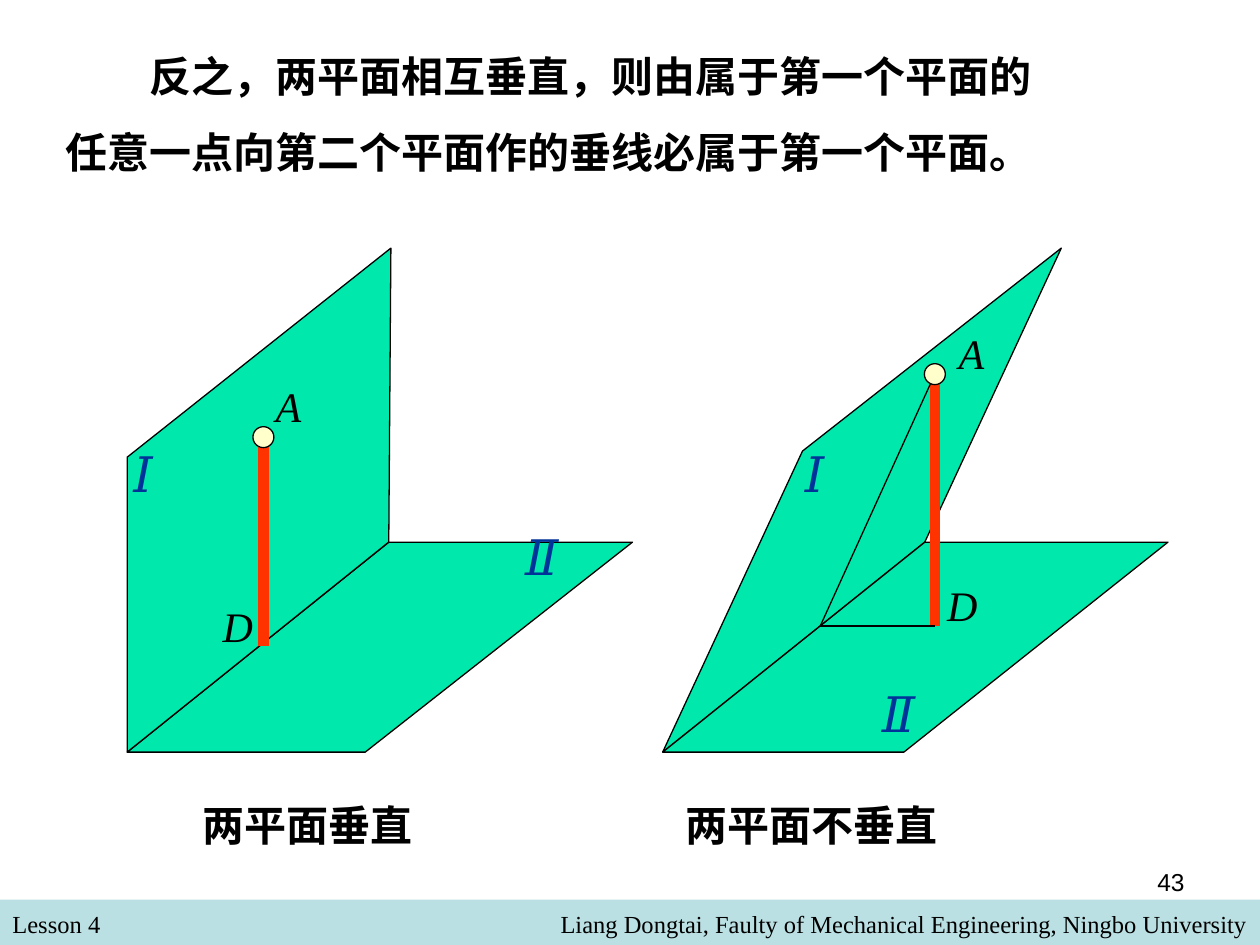
from lxml import etree
from pptx import Presentation
from pptx import util as u
from pptx.dml import color
from pptx.enum import shapes, text
from pptx.oxml import ns

SERIF, SANS, CJK = "Times New Roman", "Arial", "Noto Sans CJK SC"
BLACK, BLUE, RED = "000000", "003399", "FF3300"
GREEN, CREAM, TEAL = "00E8AB", "FFFFCC", "BBE0E3"

UPRIGHT = dict(
    caption="两平面垂直", caption_left=36, caption_width=144,
    planes=[[(0, 288), (136, 288), (288.7, 168), (149.5, 168)],
            [(0, 119.5), (0, 288), (149.5, 168), (150.7, 0)]],
    foot=(77.8, 227.5), point=(77.8, 108), thin_lines=[],
    letters=[("A", 77.8, 72), ("D", 47.5, 198)],
    numerals=[("Ⅰ", -3.6, 108, 25), ("Ⅱ", 220.3, 155.5, 33)])

SLANTED = dict(
    caption="两平面不垂直", caption_left=5.8, caption_width=186,
    planes=[[(79.9, 116), (0, 288), (149.8, 168), (227.8, 0)],
            [(0, 288), (137.8, 288), (288.7, 168), (149.8, 168)]],
    foot=(155.5, 216), point=(155.5, 72),
    thin_lines=[((155.5, 72), (90, 216)), ((90, 216), (155.5, 216))],
    letters=[("A", 162, 41.8), ("D", 155.5, 185.8)],
    numerals=[("Ⅰ", 74.2, 108, 25), ("Ⅱ", 118.1, 245.5, 33)])


def rgb(value):
    """Turn a hex string into a colour."""
    return color.RGBColor.from_string(value)


def write(box, words, size=24, font=SERIF, east=None, fill=BLACK, bold=False,
          italic=False, align=text.PP_ALIGN.LEFT, spacing=None, indent=0, wrap=True):
    """Put one formatted paragraph in a box."""
    frame = box.text_frame
    frame.word_wrap = wrap
    frame.auto_size = text.MSO_AUTO_SIZE.NONE
    frame.vertical_anchor = text.MSO_ANCHOR.TOP
    para = frame.paragraphs[0]
    para.alignment = align
    para.line_spacing = spacing
    if indent:
        para._p.get_or_add_pPr().set("indent", str(u.Pt(indent)))
    span = para.add_run()
    span.text = words
    span.font.name, span.font.size = font, u.Pt(size)
    span.font.bold, span.font.italic = bold, italic
    span.font.color.rgb = rgb(fill)
    if east:
        span.font._element.find(ns.qn("a:latin")).addnext(
            etree.Element(ns.qn("a:ea"), typeface=east))


def add_label(parts, words, left, top, width, height, **style):
    """Add a text box holding one paragraph."""
    box = parts.add_textbox(u.Pt(left), u.Pt(top), u.Pt(width), u.Pt(height))
    write(box, words, **style)


def paint(shape, fill, outline=True):
    """Give a shape a flat fill and an optional thin black outline."""
    shape.shadow.inherit = False
    shape.fill.solid()
    shape.fill.fore_color.rgb = rgb(fill)
    if outline:
        shape.line.color.rgb = rgb(BLACK)
        shape.line.width = u.Pt(0.75)
    else:
        shape.line.fill.background()


def add_plane(parts, corners):
    """Draw a closed plane through its corners."""
    points = [(u.Pt(x), u.Pt(y)) for x, y in corners]
    builder = parts.build_freeform(*points[0])
    builder.add_line_segments(points[1:], close=True)
    paint(builder.convert_to_shape(), GREEN)


def add_segment(parts, start, end, fill=BLACK, width=0.75):
    """Draw a straight line between two points."""
    line = parts.add_connector(shapes.MSO_CONNECTOR.STRAIGHT,
                               *(u.Pt(value) for value in (*start, *end)))
    line.line.color.rgb = rgb(fill)
    line.line.width = u.Pt(width)
    etree.SubElement(line._element.spPr, ns.qn("a:effectLst"))


def add_figure(page, left, top, figure):
    """Draw a pair of planes with its perpendicular, labels and caption."""
    def place(point):
        """Shift a point of the figure to the page."""
        return left + point[0], top + point[1]

    parts = page.shapes.add_group_shape().shapes
    for corners in figure["planes"]:
        add_plane(parts, [place(corner) for corner in corners])
    add_segment(parts, place(figure["point"]), place(figure["foot"]), RED, 6)
    for start, end in figure["thin_lines"]:
        add_segment(parts, place(start), place(end))
    x, y = place(figure["point"])
    dot = parts.add_shape(shapes.MSO_SHAPE.OVAL, u.Pt(x - 6), u.Pt(y - 6), u.Pt(12), u.Pt(12))
    paint(dot, CREAM)
    for words, *corner in figure["letters"]:
        add_label(parts, words, *place(corner), 30, 36, italic=True)
    for words, x, y, width in figure["numerals"]:
        add_label(parts, words, *place((x, y)), width, 41,
                  size=28, fill=BLUE, italic=True, wrap=False)
    add_label(page.shapes, figure["caption"], left + figure["caption_left"], top + 311.8,
              figure["caption_width"], 36, east=CJK, bold=True)


def add_statement(page, left, top, width, height):
    """Set the theorem in the title placeholder."""
    title = page.shapes.title
    title.left, title.top = u.Pt(left), u.Pt(top)
    title.width, title.height = u.Pt(width), u.Pt(height)
    write(title, "反之，两平面相互垂直，则由属于第一个平面的任意一点向第二个平面作的垂线必属于第一个平面。",
          font=CJK, east=CJK, bold=True, spacing=1.5, indent=48)


def add_footer(page, top, width, height):
    """Draw the footer band with its texts and the page number."""
    band = page.shapes.add_shape(shapes.MSO_SHAPE.RECTANGLE, 0, u.Pt(top),
                                 u.Pt(width), u.Pt(height))
    paint(band, TEAL, outline=False)
    right = text.PP_ALIGN.RIGHT
    add_label(page.shapes, "Lesson 4", 0, top + 2, 348, 24, size=14)
    add_label(page.shapes, "Liang Dongtai, Faulty of Mechanical Engineering, Ningbo University",
              width - 588, top + 2, 588, 24, size=14, align=right)
    add_label(page.shapes, "43", width - 204, top - 22, 168, 37,
              size=14, font=SANS, align=right)


def main():
    """Build the slide and save it."""
    deck = Presentation()
    deck.slide_width, deck.slide_height = u.Pt(720), u.Pt(540)
    page = deck.slides.add_slide(deck.slide_layouts[5])
    add_footer(page, 514, 720, 26)
    add_statement(page, 30, 10.8, 574.6, 93.6)
    add_figure(page, 72.7, 141.8, UPRIGHT)
    add_figure(page, 378.7, 141.8, SLANTED)
    deck.save("out.pptx")


if __name__ == "__main__":
    main()
